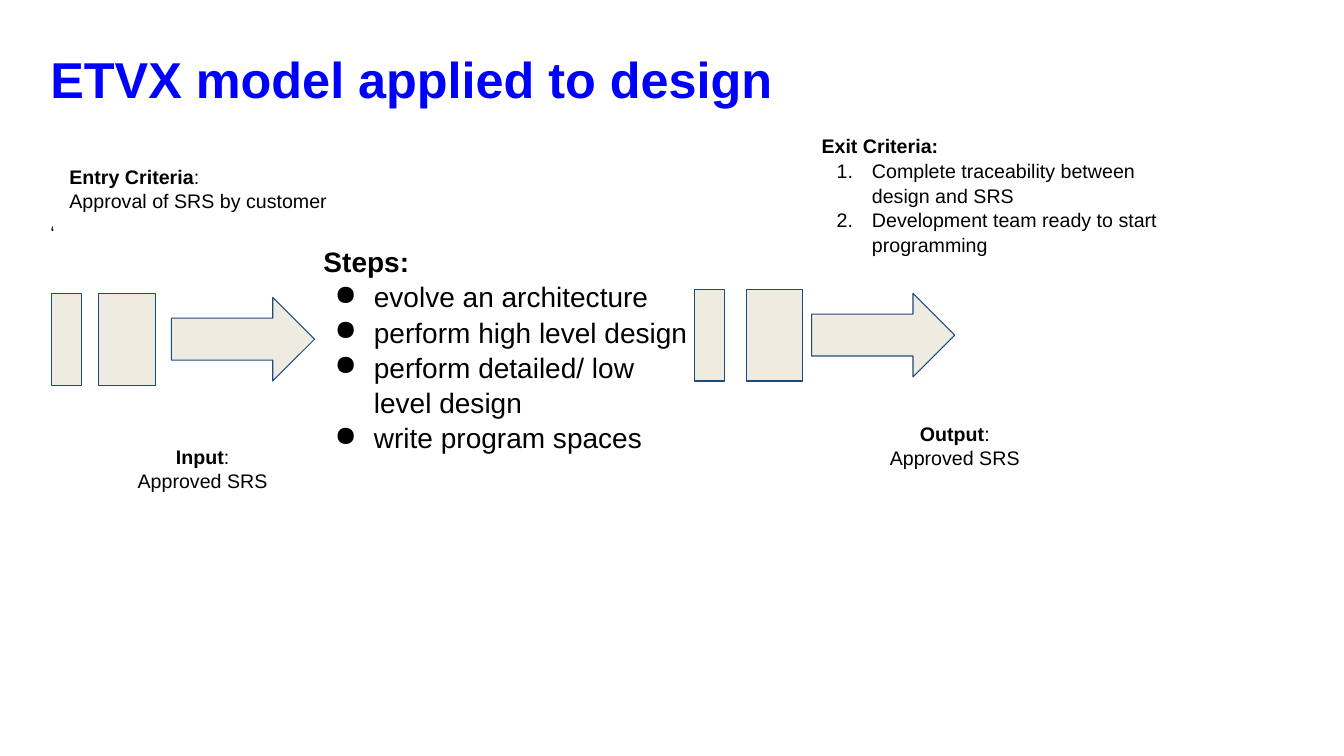
import pptx
import pptx.util
import pptx.dml.color
import pptx.enum.shapes
import pptx.enum.text
import pptx.oxml.ns
import lxml.etree

TITLE = "ETVX model applied to design"
MARK = "‘"
BULLET = ("buChar", "char", "●")
NUMBER = ("buAutoNum", "type", "arabicPeriod")
LEFT = pptx.enum.text.PP_ALIGN.LEFT
CENTER = pptx.enum.text.PP_ALIGN.CENTER
BOX = pptx.enum.shapes.MSO_SHAPE.FLOWCHART_PROCESS
ARROW = pptx.enum.shapes.MSO_SHAPE.RIGHT_ARROW

NOTES = [
    ((3.11, 2.31, 3.88, 2.39), 20, LEFT, "Steps:", "",
     ["evolve an architecture", "perform high level design",
      "perform detailed/ low level design", "write program spaces"], BULLET, 0.39),
    ((0.99, 4.3, 2.04, 0.62), 14, CENTER, "Input", ":", ["Approved SRS"], None, 0),
    ((0.59, 1.52, 3.37, 0.62), 14, LEFT, "Entry Criteria", ":",
     ["Approval of SRS by customer"], None, 0),
    ((8.05, 1.22, 3.56, 1.44), 14, LEFT, "Exit Criteria:", "",
     ["Complete traceability between design and SRS",
      "Development team ready to start programming"], NUMBER, 0.35),
    ((8.45, 4.07, 2.04, 0.62), 14, CENTER, "Output", ":", ["Approved SRS"], None, 0),
]
FLOWS = [(2.91, (0.51, 0.98, 1.7)), (2.87, (6.89, 7.4, 8.05))]
PARTS = [(BOX, 0, 0.3, 0.91), (BOX, 0, 0.56, 0.91), (ARROW, 0.04, 1.42, 0.83)]


def rgb(value):
    return pptx.dml.color.RGBColor.from_string(value)


def inches(values):
    return [pptx.util.Inches(v) for v in values]


def place(sp, at):
    sp.left, sp.top, sp.width, sp.height = inches(at)


def frame(sp, anchor, top=0.1):
    tf = sp.text_frame
    tf.word_wrap = True
    tf.auto_size = pptx.enum.text.MSO_AUTO_SIZE.NONE
    tf.vertical_anchor = anchor
    tf.margin_left, tf.margin_top, tf.margin_right, tf.margin_bottom = inches(
        (0.1, top, 0.1, 0.1))
    return tf


def style(p, size, color="000000", bold=False, align=LEFT):
    p.alignment = align
    p.space_before = p.space_after = pptx.util.Pt(0)
    p.line_spacing = 1.05
    p.font.name = "Arial"
    p.font.size = pptx.util.Pt(size)
    p.font.bold = bold
    p.font.color.rgb = rgb(color)


def set_bullet(p, bullet, hang):
    pPr = p._p.get_or_add_pPr()
    pPr.set("marL", str(pptx.util.Inches(0.5 if bullet else 0)))
    pPr.set("indent", str(-pptx.util.Inches(hang)))
    tag, key, value = bullet or ("buNone", None, None)
    bu = lxml.etree.Element(pptx.oxml.ns.qn("a:" + tag))
    if key:
        bu.set(key, value)
    pPr.insert_element_before(bu, "a:tabLst", "a:defRPr", "a:extLst")


def add_flow(slide, top, lefts):
    for left, (kind, drop, width, height) in zip(lefts, PARTS):
        sp = slide.shapes.add_shape(kind, *inches((left, top + drop, width, height)))
        sp.shadow.inherit = False
        sp.fill.solid()
        sp.fill.fore_color.rgb = rgb("EEECE1")
        sp.line.color.rgb = rgb("1F497D")
        sp.line.width = pptx.util.Pt(0.75)


def add_note(slide, at, size, align, heading, suffix, lines, bullet, hang):
    sp = slide.shapes.add_textbox(*inches(at))
    tf = frame(sp, pptx.enum.text.MSO_ANCHOR.TOP)
    p = tf.paragraphs[0]
    style(p, size, align=align)
    r = p.add_run()
    r.text = heading
    r.font.bold = True
    if suffix:
        p.add_run().text = suffix
    for line in lines:
        p = tf.add_paragraph()
        p.text = line
        style(p, size, align=align)
        set_bullet(p, bullet, hang)


def main():
    prs = pptx.Presentation()
    prs.slide_width, prs.slide_height = inches((13.33, 7.5))
    slide = prs.slides.add_slide(prs.slide_layouts[1])

    title, body = slide.placeholders
    place(title, (0.4, 0.31, 11.39, 0.91))
    p = frame(title, pptx.enum.text.MSO_ANCHOR.MIDDLE).paragraphs[0]
    p.text = TITLE
    style(p, 36, "0000FF", True)

    place(body, (0.4, 1.22, 12.14, 5.48))
    p = frame(body, pptx.enum.text.MSO_ANCHOR.TOP, 0.96).paragraphs[0]
    p.text = MARK
    style(p, 14)
    set_bullet(p, None, 0)

    for top, lefts in FLOWS:
        add_flow(slide, top, lefts)
    for note in NOTES:
        add_note(slide, *note)
    prs.save("out.pptx")


if __name__ == "__main__":
    main()
